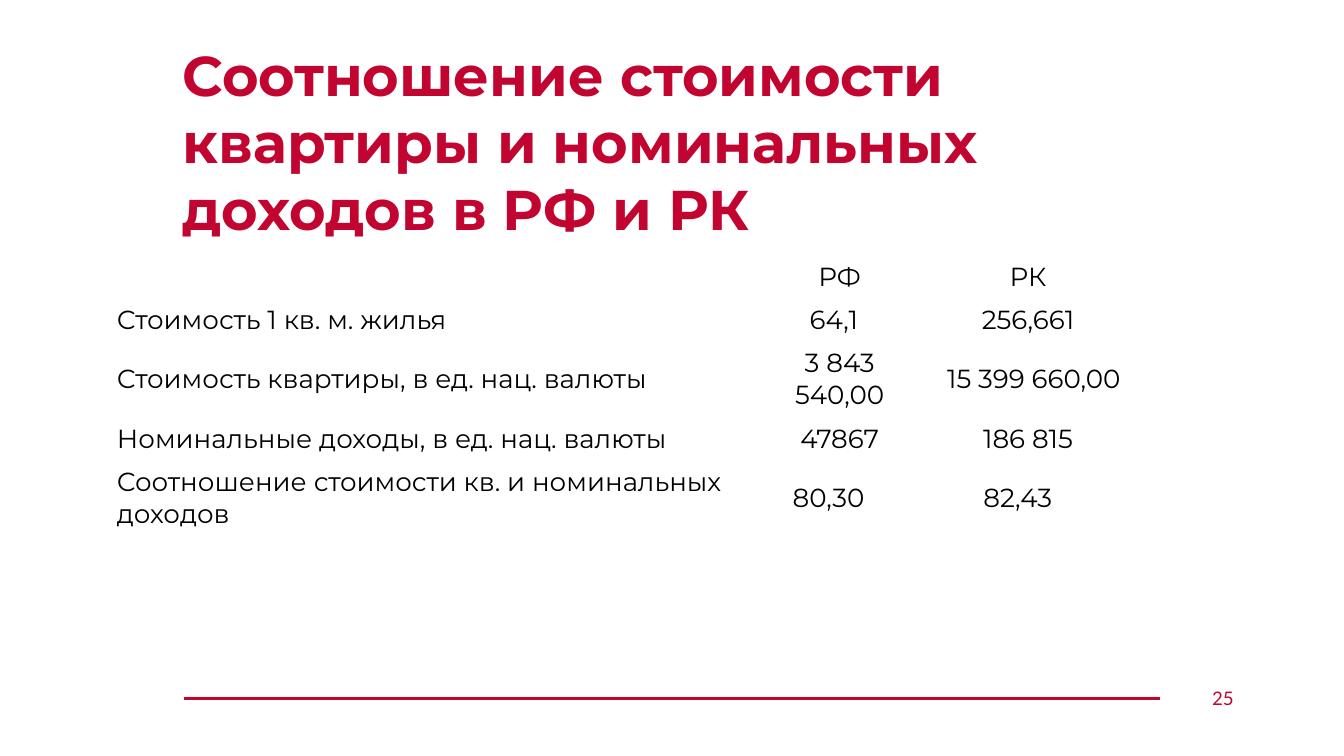
from dataclasses import dataclass

import lxml.etree
import pptx
import pptx.dml.color
import pptx.enum.shapes
import pptx.enum.text
import pptx.oxml.ns
import pptx.slide
import pptx.table
import pptx.text.text
import pptx.util

Cm = pptx.util.Cm
Align = pptx.enum.text.PP_ALIGN
Anchor = pptx.enum.text.MSO_ANCHOR

CRIMSON = pptx.dml.color.RGBColor(0xC2, 0x04, 0x30)
BLACK = pptx.dml.color.RGBColor(0x00, 0x00, 0x00)

TITLE_FORMAT = {"name": "Montserrat", "size": pptx.util.Pt(30), "bold": True}
NUMBER_FORMAT = {"name": "Lato", "size": pptx.util.Pt(10), "bold": False}
CELL_FORMAT = {"name": "Montserrat", "size": pptx.util.Pt(14), "bold": False}


@dataclass(frozen=True)
class Label:
    text: str
    left: float
    top: float
    width: float
    height: float
    anchor: Anchor
    style: dict


@dataclass(frozen=True)
class Entry:
    text: str
    left: float = 0.03
    right: float = 0.03


LABELS = [
    Label("Соотношение стоимости квартиры и номинальных доходов в РФ и РК",
          3.2, 0.51, 20.5, 1.75, Anchor.TOP, TITLE_FORMAT),
    Label("25", 22.66, 12.65, 1.04, 1.09, Anchor.MIDDLE, NUMBER_FORMAT),
]
COLUMN_WIDTHS = [11.99, 3.4, 3.72]
ROW_HEIGHTS = [0.79, 0.81, 1.45, 0.79, 1.45]
ROWS = [
    [Entry(""), Entry("РФ"), Entry("РК")],
    [Entry("Стоимость 1 кв. м. жилья"), Entry("64,1", right=0.25), Entry("256,661")],
    [Entry("Стоимость квартиры, в ед. нац. валюты"),
     Entry("3 843 540,00", 0.4, 0.4), Entry("15 399 660,00", left=0.25)],
    [Entry("Номинальные доходы, в ед. нац. валюты"), Entry("47867"), Entry("186 815")],
    [Entry("Соотношение стоимости кв. и номинальных доходов"),
     Entry("80,30", right=0.45), Entry("82,43", right=0.42)],
]


def set_attributes(target: object, values: dict) -> None:
    for name, value in values.items():
        setattr(target, name, value)


def write_text(para: pptx.text.text._Paragraph, text: str, style: dict,
               color: pptx.dml.color.RGBColor) -> None:
    span = para.add_run()
    span.text = text
    set_attributes(span.font, style)
    span.font.color.rgb = color


def draw_label(page: pptx.slide.Slide, label: Label) -> None:
    box = page.shapes.add_textbox(Cm(label.left), Cm(label.top),
                                  Cm(label.width), Cm(label.height))
    inset = Cm(0.25)
    set_attributes(box.text_frame, {
        "word_wrap": True, "vertical_anchor": label.anchor,
        "margin_left": inset, "margin_right": inset,
        "margin_top": inset, "margin_bottom": inset,
    })
    write_text(box.text_frame.paragraphs[0], label.text, label.style, CRIMSON)


def draw_rule(page: pptx.slide.Slide) -> None:
    rule = page.shapes.add_connector(pptx.enum.shapes.MSO_CONNECTOR.STRAIGHT,
                                     Cm(3.48), Cm(13.2), Cm(21.92), Cm(13.2))
    set_attributes(rule.line, {"width": pptx.util.Pt(1.5)})
    rule.line.color.rgb = CRIMSON
    lxml.etree.SubElement(rule._element.spPr, pptx.oxml.ns.qn("a:effectLst"))


def fill_cell(cell: pptx.table._Cell, entry: Entry, alignment: Align) -> None:
    set_attributes(cell, {
        "vertical_anchor": Anchor.MIDDLE,
        "margin_left": Cm(entry.left), "margin_right": Cm(entry.right),
        "margin_top": Cm(0.03), "margin_bottom": Cm(0),
    })
    cell.fill.background()
    para = cell.text_frame.paragraphs[0]
    para.alignment = alignment
    write_text(para, entry.text, CELL_FORMAT, BLACK)


def draw_table(page: pptx.slide.Slide) -> None:
    frame = page.shapes.add_table(len(ROWS), len(COLUMN_WIDTHS), Cm(2.18), Cm(4.83),
                                  Cm(sum(COLUMN_WIDTHS)), Cm(sum(ROW_HEIGHTS)))
    table = frame.table
    set_attributes(table, {"first_row": False, "horz_banding": False})
    for column, width in zip(table.columns, COLUMN_WIDTHS):
        column.width = Cm(width)
    for row, height, entries in zip(table.rows, ROW_HEIGHTS, ROWS):
        row.height = Cm(height)
        for index, (cell, entry) in enumerate(zip(row.cells, entries)):
            fill_cell(cell, entry, Align.CENTER if index else Align.LEFT)


def main() -> None:
    deck = pptx.Presentation()
    set_attributes(deck, {"slide_width": Cm(25.4), "slide_height": Cm(14.29)})
    page = deck.slides.add_slide(deck.slide_layouts[6])
    draw_rule(page)
    for label in LABELS:
        draw_label(page, label)
    draw_table(page)
    deck.save("out.pptx")


if __name__ == "__main__":
    main()
